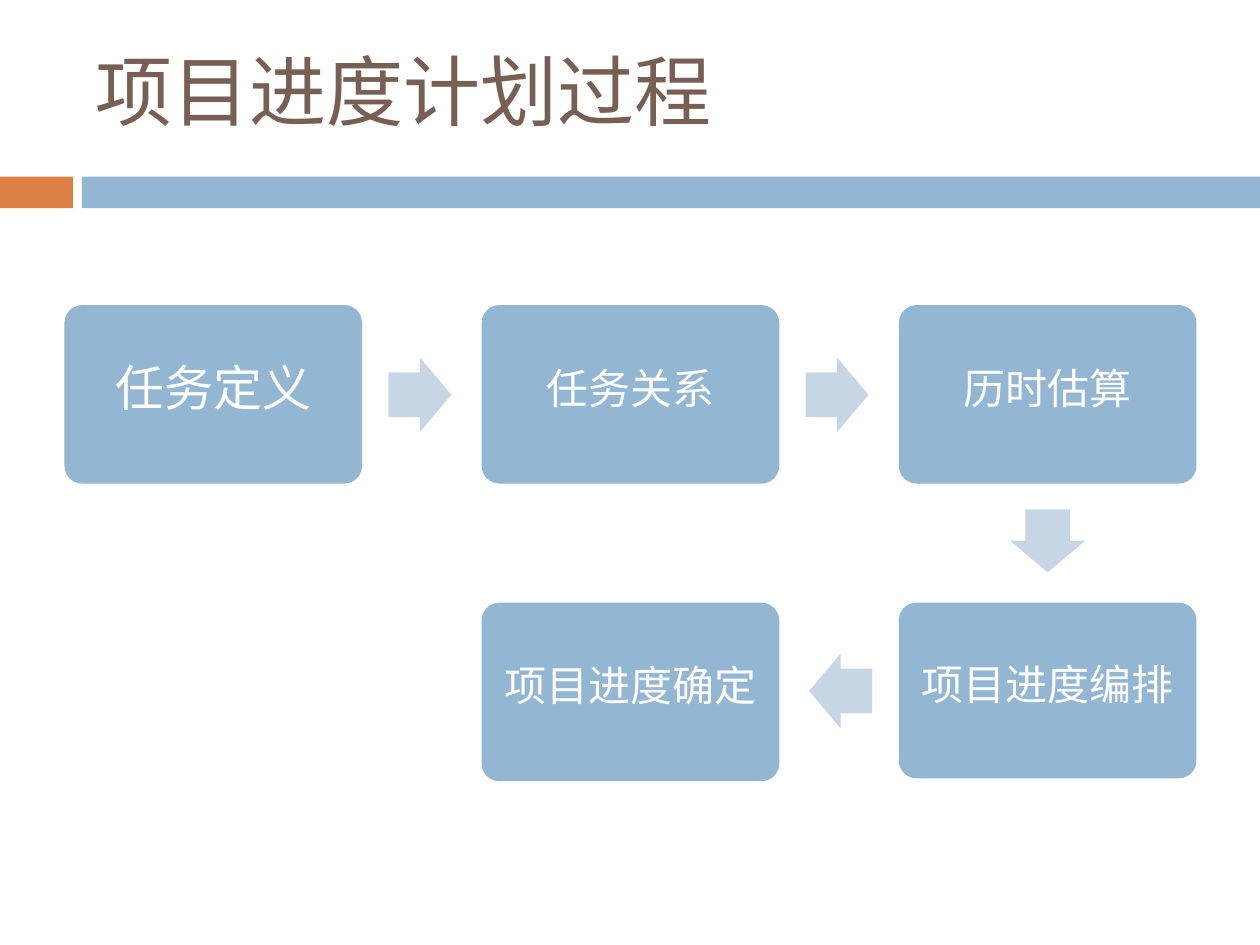
from dataclasses import dataclass

from lxml.etree import SubElement
from pptx import Presentation
from pptx.dml.color import RGBColor
from pptx.enum.shapes import MSO_SHAPE
from pptx.enum.text import MSO_ANCHOR, MSO_AUTO_SIZE, PP_ALIGN
from pptx.oxml.ns import qn
from pptx.util import Cm, Pt


@dataclass(frozen=True)
class Theme:
    """Colours, type sizes and font of the slide."""
    font: str = "Noto Sans CJK SC"
    brown: str = "775F54"
    orange: str = "DD8046"
    blue: str = "93B6D2"
    pale: str = "C7D6E4"
    white: str = "FFFFFF"
    title_size: int = 44
    lead_size: int = 28
    step_size: int = 24


THEME = Theme()
LEFT, TOP = 1.3, 6.15
COLUMN_PITCH, ROW_PITCH = 8.41, 6.0
BOX_WIDTH, BOX_HEIGHT = 6.0, 3.6
ARROW_LENGTH, ARROW_BREADTH = 1.27, 1.5


def apply(target, values):
    """Set each named attribute of the target."""
    for name, value in values.items():
        setattr(target, name, value)


def write(shape, text, size, color, align, bottom=0):
    """Put one formatted line of text into a shape."""
    frame = shape.text_frame
    apply(frame, {
        "auto_size": MSO_AUTO_SIZE.NONE, "word_wrap": False,
        "vertical_anchor": MSO_ANCHOR.MIDDLE,
        "margin_left": 0, "margin_right": 0,
        "margin_top": 0, "margin_bottom": Cm(bottom),
    })
    para = frame.paragraphs[0]
    apply(para, {"alignment": align, "space_before": Pt(0)})
    span = para.add_run()
    span.text = text
    apply(span.font, {"size": Pt(size), "name": THEME.font, "bold": False})
    span.font.color.rgb = RGBColor.from_string(color)
    SubElement(span.font._element, qn("a:ea"), typeface=THEME.font)


def add_block(page, kind, bounds, color, adjustments=()):
    """Add a flat preset shape and return it."""
    block = page.shapes.add_shape(kind, *map(Cm, bounds))
    block.shadow.inherit = False
    block.fill.solid()
    block.fill.fore_color.rgb = RGBColor.from_string(color)
    block.line.fill.background()
    for index, value in enumerate(adjustments):
        block.adjustments[index] = value
    return block


def add_title(page, text):
    """Place and format the title placeholder."""
    title = page.shapes.title
    apply(title, {"left": Cm(1.93), "top": Cm(0.84),
                  "width": Cm(12.5), "height": Cm(1.93)})
    write(title, text, THEME.title_size, THEME.brown, PP_ALIGN.LEFT)


def add_step(page, text, column, row, size=THEME.step_size, height=BOX_HEIGHT):
    """Add a step box at a place in the grid."""
    bounds = (LEFT + column * COLUMN_PITCH, TOP + row * ROW_PITCH, BOX_WIDTH, height)
    box = add_block(page, MSO_SHAPE.ROUNDED_RECTANGLE, bounds, THEME.blue, [0.1])
    write(box, text, size, THEME.white, PP_ALIGN.CENTER, bottom=0.28)


def add_arrow(page, kind, left, top):
    """Add an arrow between two steps."""
    size = (ARROW_LENGTH, ARROW_BREADTH)
    if kind == MSO_SHAPE.DOWN_ARROW:
        size = size[::-1]
    add_block(page, kind, (left, top, *size), THEME.pale, [0.6, 0.5])


def main():
    """Build the slide and save it."""
    deck = Presentation()
    apply(deck, {"slide_width": Cm(25.4), "slide_height": Cm(19.05)})
    page = deck.slides.add_slide(deck.slide_layouts[5])

    add_block(page, MSO_SHAPE.RECTANGLE, (0, 3.56, 1.47, 0.64), THEME.orange)
    add_block(page, MSO_SHAPE.RECTANGLE, (1.65, 3.56, 23.75, 0.64), THEME.blue)
    add_title(page, "项目进度计划过程")

    add_step(page, "任务定义", 0, 0, size=THEME.lead_size)
    add_step(page, "任务关系", 1, 0)
    add_step(page, "历时估算", 2, 0)
    add_step(page, "项目进度编排", 2, 1, height=3.54)
    add_step(page, "项目进度确定", 1, 1)

    for column in range(2):
        left = LEFT + column * COLUMN_PITCH + BOX_WIDTH + 0.53
        add_arrow(page, MSO_SHAPE.RIGHT_ARROW, left, 7.21)
    add_arrow(page, MSO_SHAPE.DOWN_ARROW, 20.37, 10.27)
    add_arrow(page, MSO_SHAPE.LEFT_ARROW, 16.31, 13.18)

    deck.save("out.pptx")


if __name__ == "__main__":
    main()
